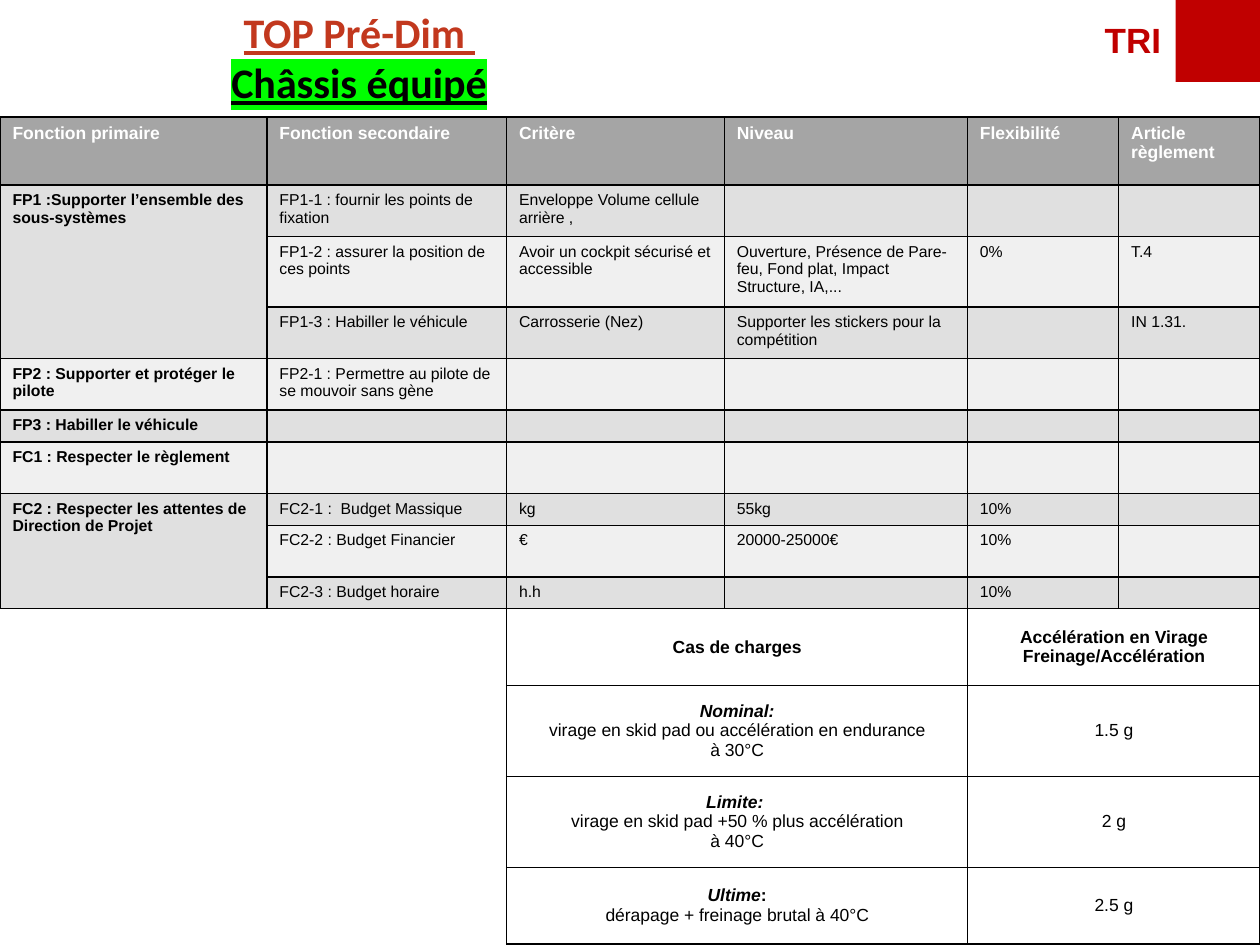
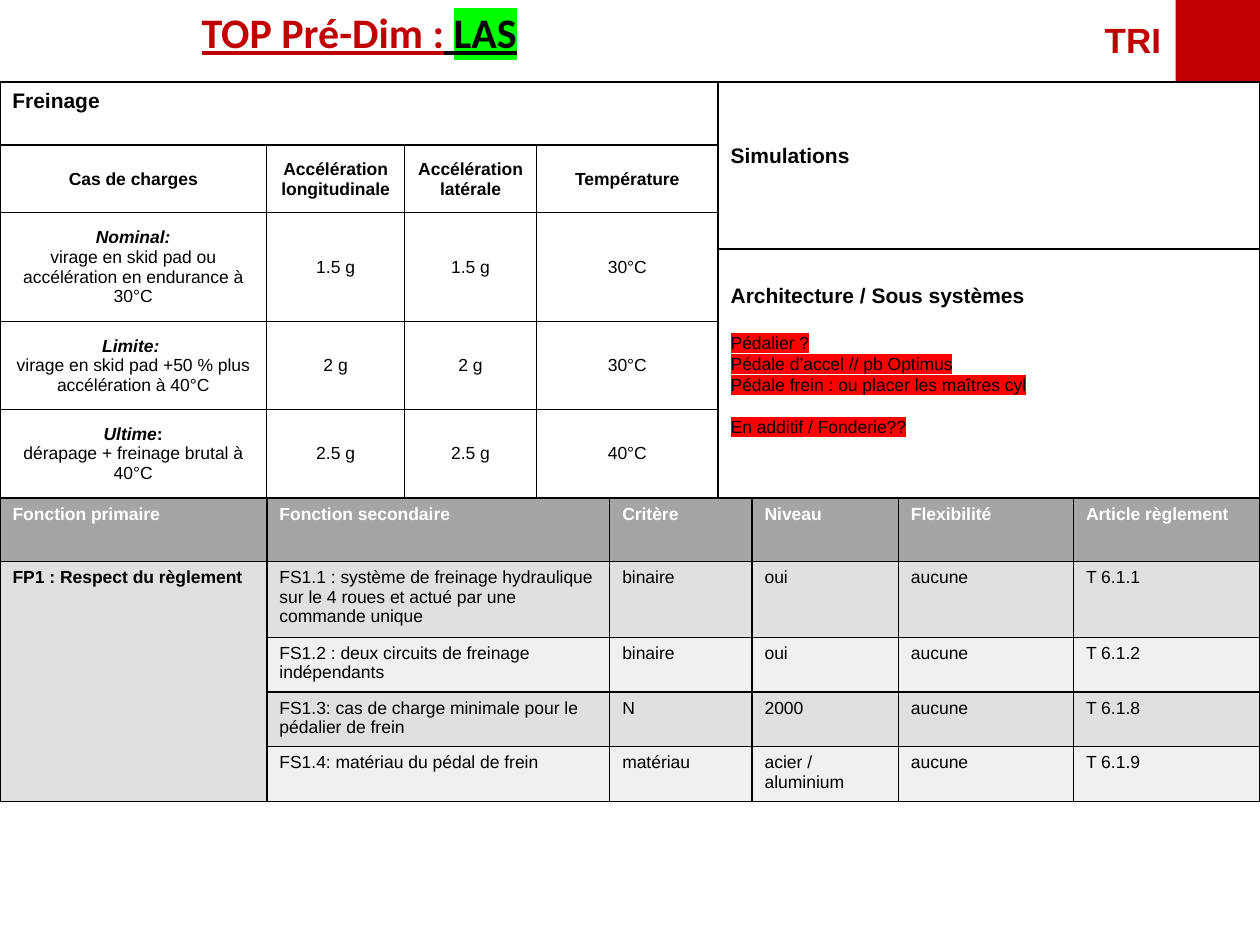
from dataclasses import dataclass
from itertools import product

from lxml.etree import SubElement
from pptx import Presentation
from pptx.dml.color import RGBColor
from pptx.enum.shapes import MSO_SHAPE
from pptx.enum.text import MSO_ANCHOR, MSO_AUTO_SIZE, PP_ALIGN
from pptx.oxml.ns import qn
from pptx.util import Cm, Pt

RED, BRICK, BLACK, WHITE = "C00000", "C2381E", "000000", "FFFFFF"
GREEN_MARK, RED_MARK = "00FF00", "FF0000"
HEADER_FILL, BANDS = "A5A5A5", ("E0E0E0", "F0F0F0")
PAGE_W, PAGE_H = 25.4, 19.05
LEFT_W = 14.48   # width of the title and of the left half
BAND_H = 1.65    # height of the red corner


@dataclass
class Run:
    text: str
    size: float = 10
    bold: bool = False
    italic: bool = False
    color: str = BLACK
    font: str = "Arial"
    underline: bool = False
    mark: str = ""


@dataclass
class Para:
    runs: list[Run]
    before: float = 0


@dataclass
class Grid:
    x: float
    y: float
    cols: list[float]
    rows: list[float]
    line: float


@dataclass
class Panel:
    x: float
    y: float
    w: float
    h: float
    paras: list[Para]
    anchor: MSO_ANCHOR = MSO_ANCHOR.MIDDLE
    bottom: float = 0.13


def rgb(color: str) -> RGBColor:
    return RGBColor.from_string(color)


def line(text: str, before: float = 0, **style) -> Para:
    """A paragraph made of one run."""
    return Para([Run(text, **style)], before)


def title_run(text: str, color: str = BLACK, mark: str = "") -> Run:
    return Run(text, 24, True, color=color, font="Calibri", underline=True, mark=mark)


def write(tf, paras: list[Para], align=PP_ALIGN.LEFT) -> None:
    tf.word_wrap = True
    for i, para in enumerate(paras):
        p = tf.add_paragraph() if i else tf.paragraphs[0]
        p.alignment = align
        if para.before:
            p.space_before = Pt(para.before)
        for run in para.runs:
            if not run.text:
                SubElement(p._p, qn("a:endParaRPr"), sz=str(int(run.size * 100)))
                continue
            r = p.add_run()
            r.text = run.text
            f = r.font
            f.size, f.name = Pt(run.size), run.font
            f.bold, f.italic, f.underline = run.bold, run.italic, run.underline
            f.color.rgb = rgb(run.color)
            if run.mark:
                mark = SubElement(r._r.rPr, qn("a:highlight"))
                SubElement(mark, qn("a:srgbClr"), val=run.mark)
                r._r.rPr.find(qn("a:solidFill")).addnext(mark)


def add_slide(prs, title: list[Para], title_h: float):
    """Title-only slide with its title, the TRI label and the red corner."""
    s = prs.slides.add_slide(prs.slide_layouts[5])
    sp = s.shapes.title
    sp.left, sp.top, sp.width, sp.height = Cm(0), Cm(0), Cm(LEFT_W), Cm(title_h)
    tf = sp.text_frame
    tf.auto_size, tf.vertical_anchor = MSO_AUTO_SIZE.NONE, MSO_ANCHOR.TOP
    write(tf, title, PP_ALIGN.CENTER)

    label = s.shapes.add_textbox(Cm(22.02), Cm(0.25), Cm(1.8), Cm(1.12))
    write(label.text_frame, [line("TRI", size=20, bold=True, color=RED)])
    label.text_frame.word_wrap = False

    corner = s.shapes.add_shape(MSO_SHAPE.RECTANGLE, Cm(23.7), Cm(0), Cm(1.7), Cm(BAND_H))
    corner.shadow.inherit = False
    corner.fill.solid()
    corner.fill.fore_color.rgb = rgb(RED)
    corner.line.fill.background()
    return s


def add_panel(s, panel: Panel) -> None:
    sp = s.shapes.add_shape(MSO_SHAPE.RECTANGLE, Cm(panel.x), Cm(panel.y),
                            Cm(panel.w), Cm(panel.h))
    sp.shadow.inherit = False
    sp.fill.background()
    sp.line.color.rgb = rgb(BLACK)
    sp.line.width = Pt(1)
    tf = sp.text_frame
    tf.vertical_anchor, tf.margin_bottom = panel.anchor, Cm(panel.bottom)
    write(tf, panel.paras)


def set_borders(cell, width: float) -> None:
    tc_pr = cell._tc.get_or_add_tcPr()
    for side in ("a:lnL", "a:lnR", "a:lnT", "a:lnB"):
        ln = SubElement(tc_pr, qn(side), w=str(Pt(width)))
        SubElement(SubElement(ln, qn("a:solidFill")), qn("a:srgbClr"), val=BLACK)


def add_grid(s, grid: Grid):
    """Empty bordered table."""
    table = s.shapes.add_table(len(grid.rows), len(grid.cols), Cm(grid.x), Cm(grid.y),
                               Cm(sum(grid.cols)), Cm(sum(grid.rows))).table
    table.first_row = table.horz_banding = False
    for col, width in zip(table.columns, grid.cols):
        col.width = Cm(width)
    for row, height in zip(table.rows, grid.rows):
        row.height = Cm(height)
    for cell in table.iter_cells():
        set_borders(cell, grid.line)
    return table


def add_functions(s, grid: Grid, rows: list[list[str]], size: float) -> None:
    """Banded table; an empty first column continues the cell above."""
    table = add_grid(s, grid)
    start = 0
    for i, j in product(range(len(grid.rows)), range(len(grid.cols))):
        text = FUNCTION_HEADER[j] if i == 0 else rows[i - 1][j]
        cell = table.cell(i, j)
        cell.fill.solid()
        cell.fill.fore_color.rgb = rgb(BANDS[(i - 1) % 2] if i else HEADER_FILL)
        if j == 0 and text:
            start = i
        elif j == 0:
            if i + 1 == len(grid.rows) or rows[i][0]:
                table.cell(start, 0).merge(cell)
            continue
        write(cell.text_frame, [line(text, size=size if i else 10, bold=i == 0 or j == 0,
                                     color=BLACK if i else WHITE)])


def add_load_cases(s, grid: Grid, header: list[str], cases: list[list[list[Para]]]) -> None:
    table = add_grid(s, grid)
    rows = [[[line(text, bold=True)] for text in header], *cases]
    for i, row in enumerate(rows):
        for j, paras in enumerate(row):
            cell = table.cell(i, j)
            cell.fill.background()
            cell.vertical_anchor = MSO_ANCHOR.MIDDLE
            cell.margin_top = cell.margin_bottom = Cm(0.25)
            write(cell.text_frame, paras, PP_ALIGN.CENTER)


def load_case(name: Para, description: list[str], *values: str) -> list[list[Para]]:
    return [[name, *map(line, description)], *([line(value)] for value in values)]


FUNCTION_HEADER = ["Fonction primaire", "Fonction secondaire", "Critère", "Niveau",
                   "Flexibilité", "Article règlement"]
NOMINAL = line("Nominal:", bold=True, italic=True)
LIMIT = line("Limite: ", bold=True, italic=True)
ULTIMATE = Para([Run("Ultime", bold=True, italic=True), Run(":", bold=True)])
BRAKING = "dérapage + freinage brutal à 40°C"

CHASSIS_FUNCTIONS = [
    ["FP1 :Supporter l’ensemble des sous-systèmes", "FP1-1 : fournir les points de fixation",
     "Enveloppe Volume cellule arrière ,", "", "", ""],
    ["", "FP1-2 : assurer la position de ces points", "Avoir un cockpit sécurisé et accessible",
     "Ouverture, Présence de Pare-feu, Fond plat, Impact Structure, IA,...", "0%", "T.4"],
    ["", "FP1-3 : Habiller le véhicule", "Carrosserie (Nez)",
     "Supporter les stickers pour la compétition", "", "IN 1.31."],
    ["FP2 : Supporter et protéger le pilote",
     "FP2-1 : Permettre au pilote de se mouvoir sans gène", "", "", "", ""],
    ["FP3 : Habiller le véhicule", "", "", "", "", ""],
    ["FC1 : Respecter le règlement", "", "", "", "", ""],
    ["FC2 : Respecter les attentes de Direction de Projet", "FC2-1 :  Budget Massique",
     "kg", "55kg", "10%", ""],
    ["", "FC2-2 : Budget Financier", "€", "20000-25000€", "10%", ""],
    ["", "FC2-3 : Budget horaire", "h.h", "", "10%", ""],
]
CHASSIS_CASES = [
    load_case(NOMINAL, ["virage en skid pad ou accélération en endurance", "à 30°C"], "1.5 g"),
    load_case(LIMIT, ["virage en skid pad +50 % plus accélération", "à 40°C"], "2 g"),
    load_case(ULTIMATE, [BRAKING], "2.5 g"),
]
BRAKE_FUNCTIONS = [
    ["FP1 : Respect du règlement",
     "FS1.1 : système de freinage hydraulique sur le 4 roues et actué par une commande unique",
     "binaire", "oui", "aucune", "T 6.1.1"],
    ["", "FS1.2 : deux circuits de freinage indépendants", "binaire", "oui", "aucune", "T 6.1.2"],
    ["", "FS1.3: cas de charge minimale pour le pédalier de frein", "N", "2000", "aucune",
     "T 6.1.8"],
    ["", "FS1.4: matériau du pédal de frein", "matériau", "acier / aluminium", "aucune",
     "T 6.1.9"],
]
BRAKE_CASES = [
    load_case(NOMINAL, ["virage en skid pad ou accélération en endurance à 30°C"],
              "1.5 g", "1.5 g", "30°C"),
    load_case(LIMIT, ["virage en skid pad +50 % plus accélération à 40°C"],
              "2 g", "2 g", "30°C"),
    load_case(ULTIMATE, [BRAKING], "2.5 g", "2.5 g", "40°C"),
]
RIGHT_W = PAGE_W - LEFT_W
BRAKE_PANELS = [
    Panel(0, BAND_H, LEFT_W, 1.28, [line("Freinage", size=12, bold=True)], MSO_ANCHOR.TOP),
    Panel(LEFT_W, BAND_H, RIGHT_W, 3.37, [line("Simulations", size=12, bold=True)], bottom=0.52),
    Panel(LEFT_W, 5.02, RIGHT_W, 5.02, [
        line("Architecture / Sous systèmes", size=12, bold=True),
        line("Pédalier ?", before=14, mark=RED_MARK),
        line("Pédale d’accel // pb Optimus", mark=RED_MARK),
        line("Pédale frein : ou placer les maîtres cyl", mark=RED_MARK),
        line("En additif / Fonderie??", before=12, mark=RED_MARK),
    ], bottom=0.69),
]


def build_chassis(prs) -> None:
    s = add_slide(prs, [Para([title_run("TOP Pré-Dim ", BRICK)]),
                        Para([title_run("Châssis équipé", mark=GREEN_MARK)])], 2.11)
    functions = Grid(0, 2.36, [5.38, 4.83, 4.39, 4.9, 3.05, 2.85],
                     [1.37, 1.04, 1.42, 1.04, 1.04, 0.64, 1.04, 0.64, 1.04, 0.64], 1)
    add_functions(s, functions, CHASSIS_FUNCTIONS, 9)
    cases = Grid(10.21, 12.27, [9.3, 5.89], [1.55, 1.83, 1.83, 1.55], 0.75)
    add_load_cases(s, cases, ["Cas de charges", "Accélération en Virage Freinage/Accélération"],
                   CHASSIS_CASES)


def build_brakes(prs) -> None:
    s = add_slide(prs, [Para([title_run("TOP Pré-Dim :", RED), title_run(" "),
                              title_run("LAS", mark=GREEN_MARK)])], 1.27)
    functions = Grid(0, 10.05, [5.38, 6.91, 2.87, 2.95, 3.53, 3.76],
                     [1.27, 1.43, 1.05, 1.05, 1.05], 1)
    add_functions(s, functions, BRAKE_FUNCTIONS, 10)
    cases = Grid(0, 2.94, [5.37, 2.79, 2.65, 3.67], [1.28, 2.1, 1.69, 1.69], 0.75)
    add_load_cases(s, cases, ["Cas de charges", "Accélération longitudinale",
                              "Accélération latérale", "Température"], BRAKE_CASES)
    for panel in BRAKE_PANELS:
        add_panel(s, panel)


def main() -> None:
    prs = Presentation()
    prs.slide_width, prs.slide_height = Cm(PAGE_W), Cm(PAGE_H)
    build_chassis(prs)
    build_brakes(prs)
    prs.save("out.pptx")


if __name__ == "__main__":
    main()
